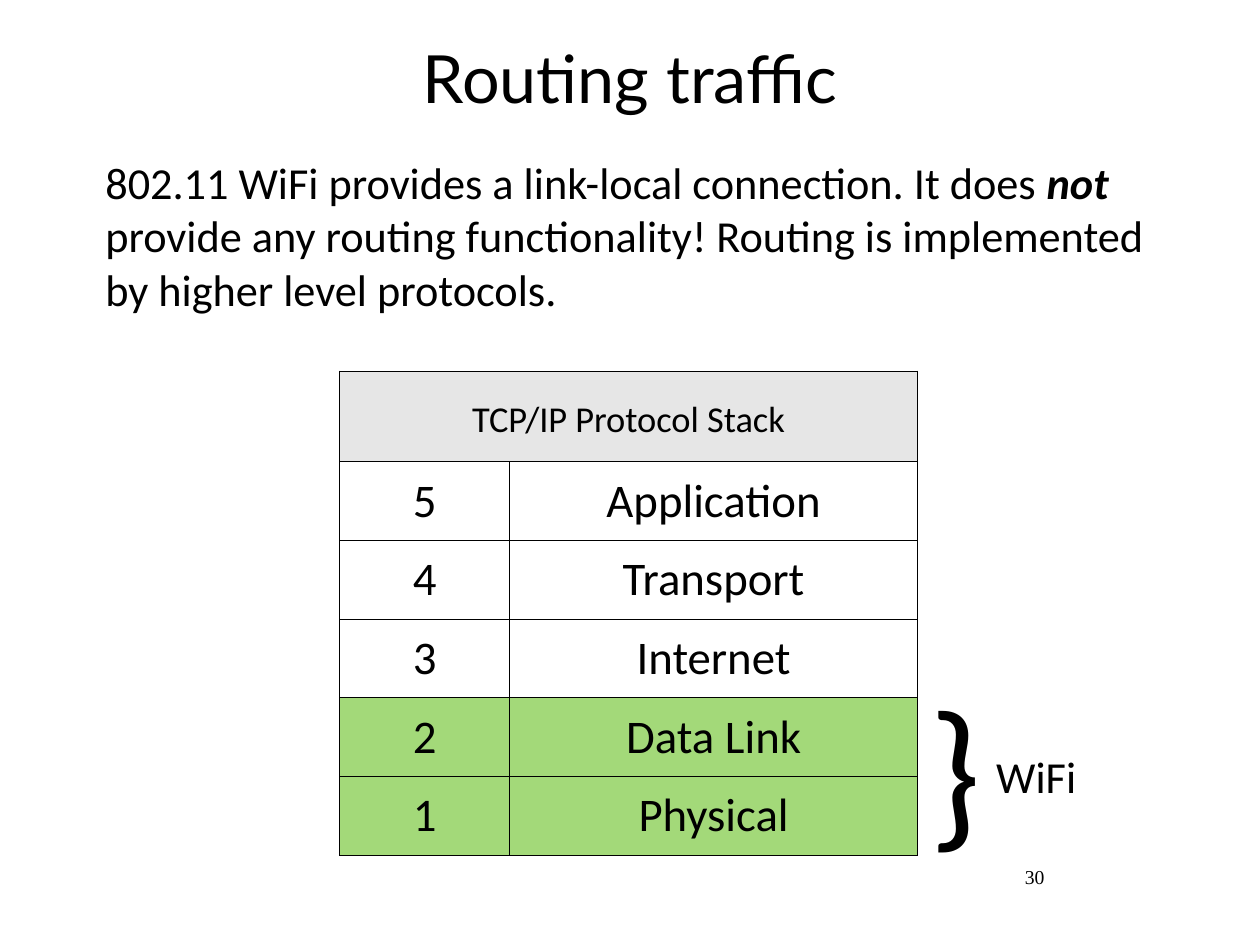
from lxml import etree
from pptx import Presentation
from pptx.dml.color import RGBColor
from pptx.enum.text import MSO_ANCHOR, MSO_AUTO_SIZE, PP_ALIGN
from pptx.oxml.ns import qn
from pptx.util import Pt

TOP, MIDDLE = MSO_ANCHOR.TOP, MSO_ANCHOR.MIDDLE
LEFT, CENTER = PP_ALIGN.LEFT, PP_ALIGN.CENTER
NO_AUTOFIT = MSO_AUTO_SIZE.NONE
TITLE_ONLY = 5
EMU_PER_PX = 10160
SLIDE_SIZE = (1280, 960)
COLORS = {"text": "000000", "border": "000000", "header": "E6E6E6",
          "plain": "FFFFFF", "wifi": "A3D979"}
LAYERS = ["Application", "Transport", "Internet", "Data Link", "Physical"]
WIFI_LAYERS = {"Data Link", "Physical"}


def px(value):
    return value * EMU_PER_PX


class SlideBuilder:
    def __init__(self, presentation, font):
        self.slide = presentation.slides.add_slide(presentation.slide_layouts[TITLE_ONLY])
        self.font = font

    def style(self, paragraph, size, align, font=None):
        paragraph.alignment = align
        paragraph.font.name = font or self.font
        paragraph.font.size = Pt(size)
        paragraph.font.color.rgb = RGBColor.from_string(COLORS["text"])

    def frame(self, shape, wrap, anchor):
        frame = shape.text_frame
        frame.margin_left = frame.margin_right = 0
        frame.margin_top = frame.margin_bottom = 0
        frame.auto_size = NO_AUTOFIT
        frame.word_wrap = wrap
        frame.vertical_anchor = anchor
        return frame

    def title(self, text, left, top, width, height, size, font):
        shape = self.slide.shapes.title
        shape.left, shape.top = px(left), px(top)
        shape.width, shape.height = px(width), px(height)
        paragraph = self.frame(shape, True, TOP).paragraphs[0]
        paragraph.text = text
        paragraph.line_spacing = 0.95
        self.style(paragraph, size, CENTER, font)

    def text(self, runs, left, top, width, height, size,
             align=LEFT, wrap=False, anchor=TOP, font=None):
        shape = self.slide.shapes.add_textbox(px(left), px(top), px(width), px(height))
        paragraph = self.frame(shape, wrap, anchor).paragraphs[0]
        for text, emphasis in runs:
            run = paragraph.add_run()
            run.text = text
            if emphasis:
                run.font.bold = run.font.italic = True
        self.style(paragraph, size, align, font)

    def cell(self, cell, text, color, size, margin, anchor):
        cell.text = text
        cell.vertical_anchor = anchor
        cell.margin_left = cell.margin_right = px(margin)
        cell.margin_top = cell.margin_bottom = px(margin)
        self.style(cell.text_frame.paragraphs[0], size, CENTER)
        properties = cell._tc.get_or_add_tcPr()
        for side in ("a:lnL", "a:lnR", "a:lnT", "a:lnB"):
            line = etree.SubElement(properties, qn(side), w=str(Pt(1)))
            fill = etree.SubElement(line, qn("a:solidFill"))
            etree.SubElement(fill, qn("a:srgbClr"), val=COLORS["border"])
        cell.fill.solid()
        cell.fill.fore_color.rgb = RGBColor.from_string(COLORS[color])

    def protocol_table(self, heading, layers, left, top, columns, header_height, row_height):
        heights = [header_height] + [row_height] * len(layers)
        table = self.slide.shapes.add_table(
            len(heights), len(columns), px(left), px(top),
            px(sum(columns)), px(sum(heights))).table
        table.first_row = table.horz_banding = False
        for column, width in zip(table.columns, columns):
            column.width = px(width)
        for row, height in zip(table.rows, heights):
            row.height = px(height)
        for index, text in enumerate((heading, "")):
            self.cell(table.cell(0, index), text, "header", 51, 0, TOP)
        table.cell(0, 0).merge(table.cell(0, 1))
        run = table.cell(0, 0).text_frame.paragraphs[0].runs[0]
        run._r.get_or_add_rPr().set("baseline", "-3000")
        for row, layer in enumerate(layers, 1):
            color = "wifi" if layer in WIFI_LAYERS else "plain"
            number = str(len(layers) + 1 - row)
            for column, text in enumerate((number, layer)):
                self.cell(table.cell(row, column), text, color, 38, 6, MIDDLE)


def main():
    presentation = Presentation()
    presentation.slide_width, presentation.slide_height = map(px, SLIDE_SIZE)
    builder = SlideBuilder(presentation, "Calibri")
    builder.text([("30", False)], 1035, 875, 32, 32, 16,
                 align=CENTER, anchor=MIDDLE, font="Times New Roman")
    builder.title("Routing traffic", 26, 44, 1228, 233, 54, "Lato")
    builder.text([
        ("802.11 WiFi provides a link-local connection. It does ", False),
        ("not", True),
        (" provide any routing functionality! Routing is implemented"
         " by higher level protocols.", False),
    ], 107, 158, 1065, 155, 36, wrap=True)
    builder.protocol_table("TCP/IP Protocol Stack", LAYERS, 345, 377, (173, 414), 92, 80)
    builder.text([("WiFi", False)], 1012, 761, 89, 51, 36)
    builder.text([("}", False)], 944, 676, 57, 190, 134)
    presentation.save("out.pptx")


if __name__ == "__main__":
    main()
